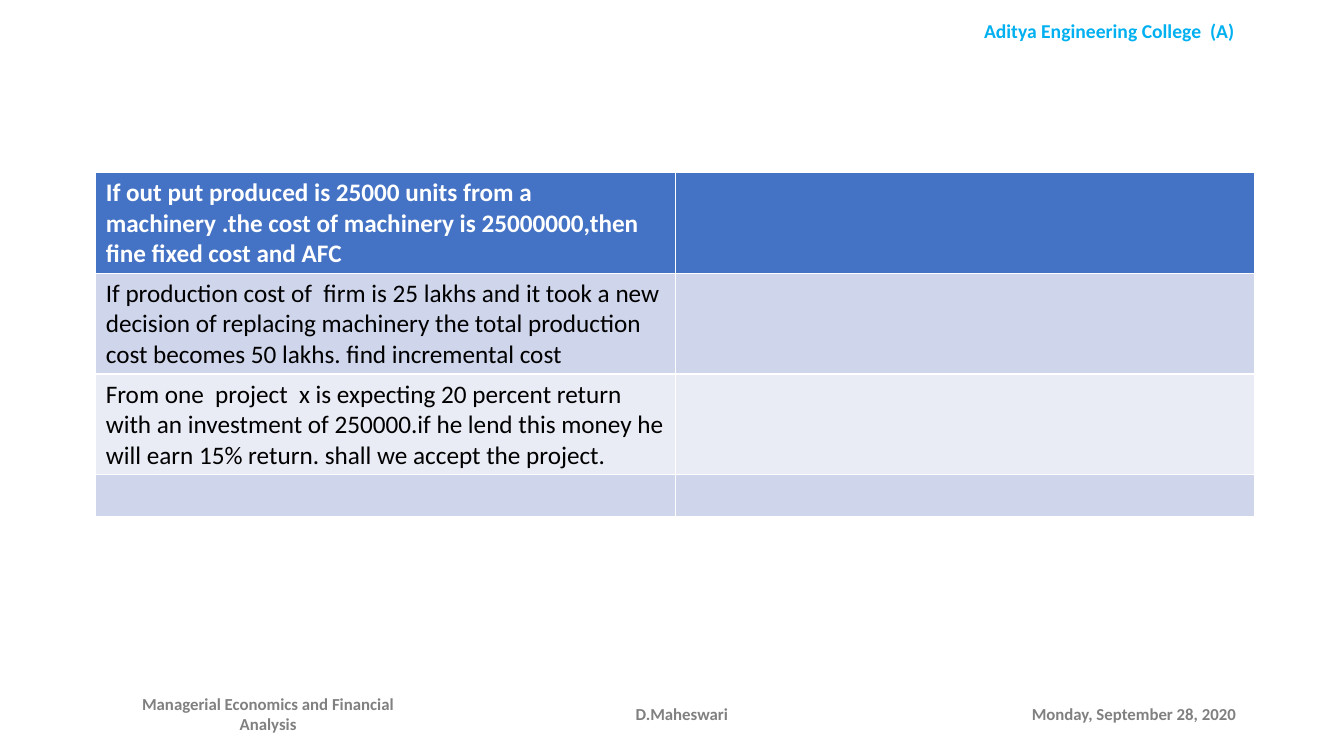
"""Build a slide with a table of cost exercises, a college header and a footer."""
from pptx import Presentation
from pptx.dml.color import RGBColor
from pptx.enum import text as t
from pptx.util import Pt

HUES = {"head": "4472C4", "odd": "CFD5EA", "even": "E9EBF5",
        "white": "FFFFFF", "black": "000000", "sky": "00B0F0", "gray": "808080"}
COLLEGE = "Aditya Engineering College  (A)"
TASKS = [
    "If out put produced is 25000 units from a machinery .the cost of machinery "
    "is 25000000,then fine fixed cost and AFC",
    "If production cost of  firm is 25 lakhs and it took a new decision of "
    "replacing machinery the total production cost becomes 50 lakhs. find incremental cost",
    "From one  project  x is expecting 20 percent return with an investment of "
    "250000.if he lend this money he will earn 15% return. shall we accept the project.",
    "",
]
FOOTER = [
    ("Managerial Economics and Financial Analysis", 82.8, 217.4),
    ("D.Maheswari", 404.6, 164.9),
    ("Monday, September 28, 2020", 727.2, 165.6),
]
LEFT, TOP, WIDE = 68.4, 123.1, 828
TALL, LOW = 72, 29.5


def rgb(name):
    return RGBColor.from_string(HUES[name])


def write(frame, words, size=18, color="black", bold=False, align=None):
    par = frame.paragraphs[0]
    par.alignment = align
    font = par.font
    if words:
        run = par.add_run()
        run.text = words
        font = run.font
    font.name, font.size, font.bold = "Calibri", Pt(size), bold
    font.color.rgb = rgb(color)


def label(slide, words, box, anchor, **form):
    frame = slide.shapes.add_textbox(*map(Pt, box)).text_frame
    frame.word_wrap = True
    frame.vertical_anchor = anchor
    write(frame, words, bold=True, align=t.PP_ALIGN.CENTER, **form)


def grid(slide):
    highs = [TALL if task else LOW for task in TASKS]
    table = slide.shapes.add_table(len(TASKS), 2, Pt(LEFT), Pt(TOP),
                                   Pt(WIDE), Pt(sum(highs))).table
    for row, (task, high) in enumerate(zip(TASKS, highs)):
        table.rows[row].height = Pt(high)
        fill = "head" if row == 0 else "odd" if row % 2 else "even"
        for col, words in enumerate((task, "")):
            cell = table.cell(row, col)
            cell.fill.solid()
            cell.fill.fore_color.rgb = rgb(fill)
            write(cell.text_frame, words, bold=row == 0,
                  color="black" if row else "white")


def main():
    deck = Presentation()
    deck.slide_width, deck.slide_height = Pt(960), Pt(540)
    slide = deck.slides.add_slide(deck.slide_layouts[6])
    label(slide, COLLEGE, (654.5, 10.1, 275.8, 24.5), t.MSO_ANCHOR.TOP,
          size=14, color="sky")
    grid(slide)
    for words, left, wide in FOOTER:
        label(slide, words, (left, 495.4, wide, 28.8), t.MSO_ANCHOR.MIDDLE,
              size=12, color="gray")
    deck.save("out.pptx")


if __name__ == "__main__":
    main()
